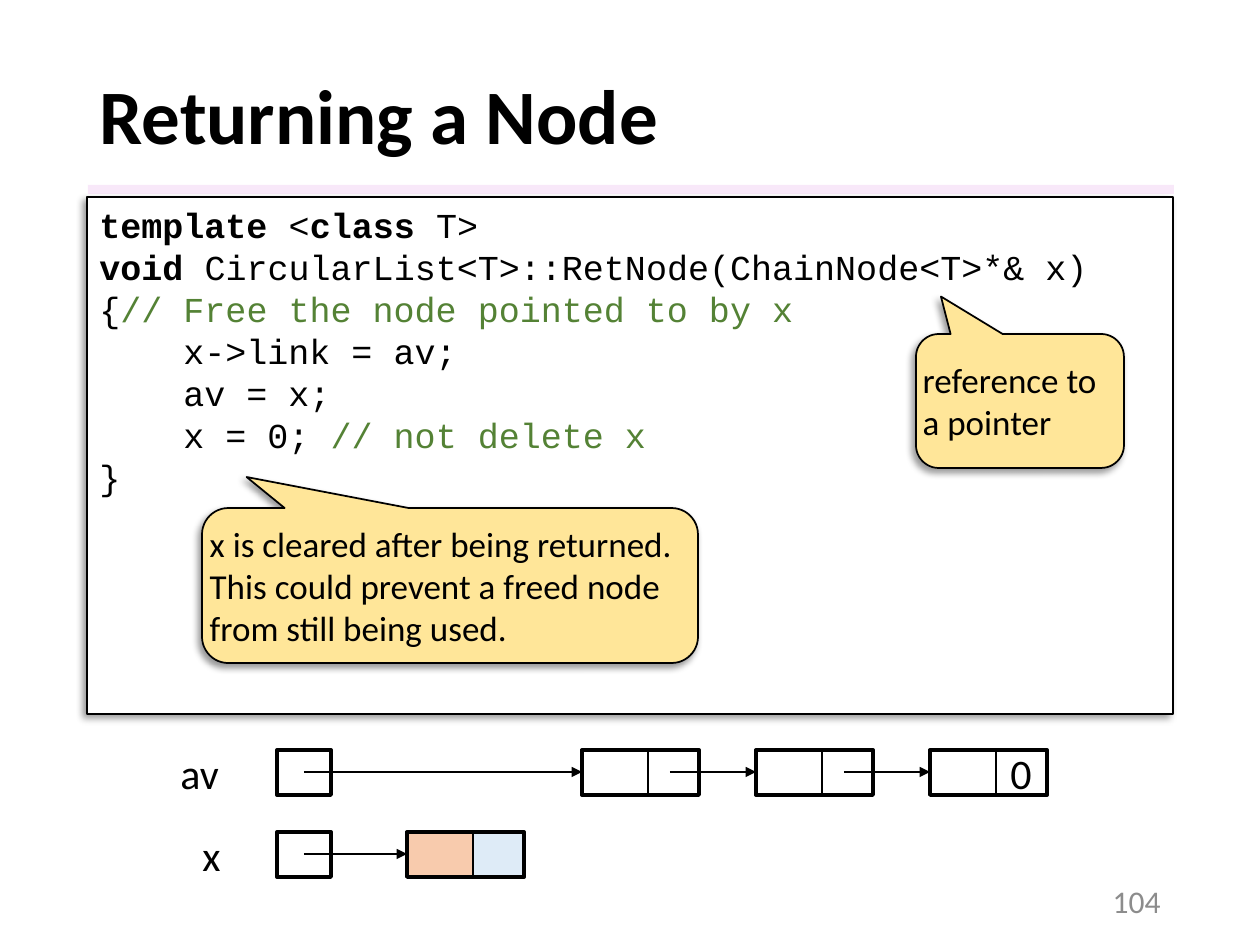
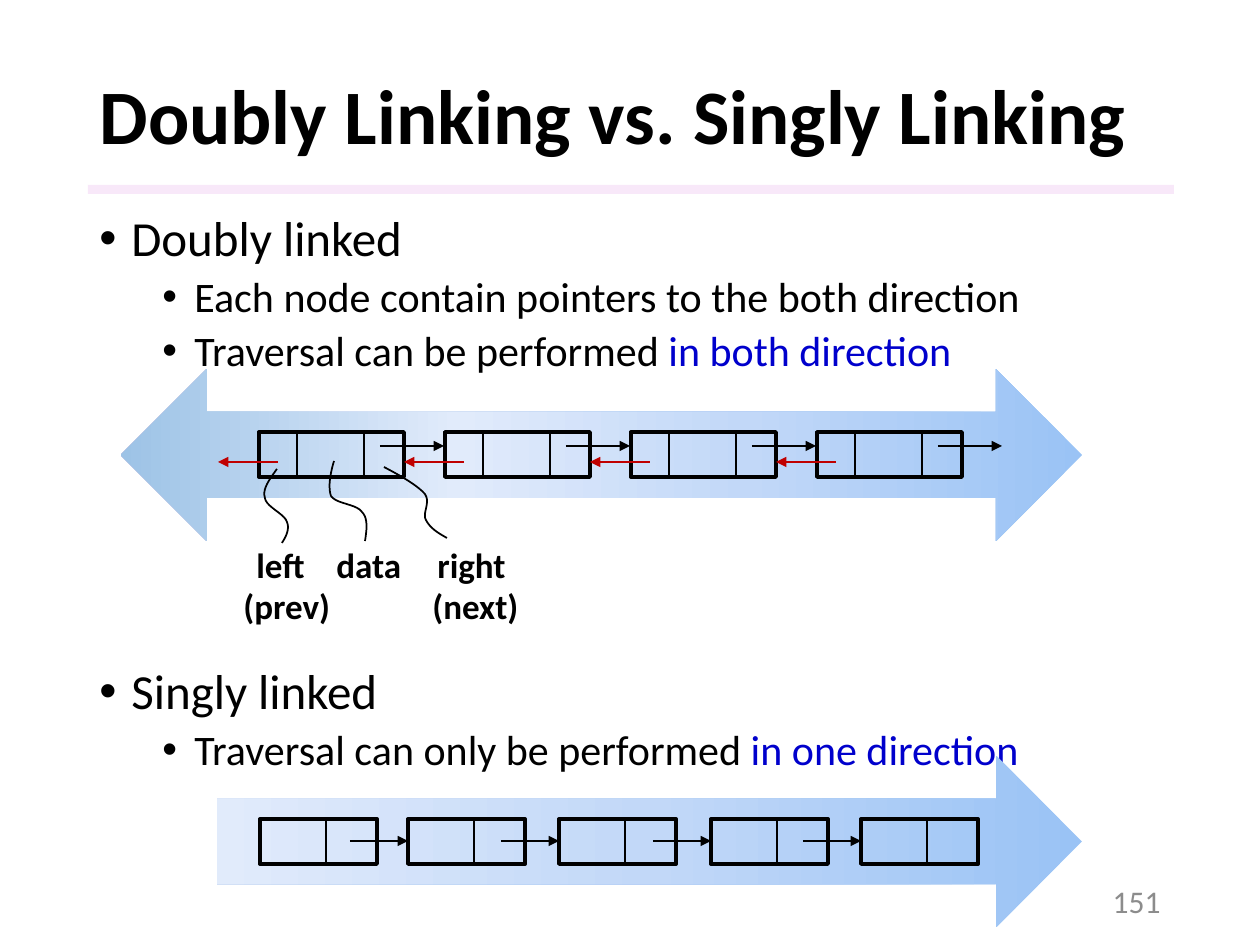
from dataclasses import dataclass

from lxml.etree import SubElement
from pptx import Presentation
from pptx.dml.color import RGBColor
from pptx.enum.shapes import MSO_CONNECTOR, MSO_SHAPE
from pptx.enum.text import MSO_ANCHOR, MSO_AUTO_SIZE, PP_ALIGN
from pptx.oxml.ns import qn
from pptx.util import Emu, Pt

SCALE = 914400 / 126


@dataclass(frozen=True)
class Theme:
    """Colours, fonts and type sizes of the deck."""
    ink: str = "000000"
    paper: str = "FFFFFF"
    band: str = "F3D2F4"
    grey: str = "8C8C8C"
    green: str = "548235"
    blue: str = "0000CC"
    red: str = "C00000"
    note: str = "FFE699"
    peach: str = "F8CBAD"
    ice: str = "DEEBF7"
    sweep: tuple = ((0, "9AC3F5"), (50, "C2D8F8"), (100, "E1EBFB"))
    both: tuple = ((0, "9AC3F5"), (35, "C2D8F8"), (65, "E1EBFB"), (100, "9DC3E6"))
    sans: str = "Calibri"
    mono: str = "Courier New"
    title: int = 44
    head: int = 28
    text: int = 24
    small: int = 20
    page: int = 18


T = Theme()
BOLD = {"bold": True}
NOTE = {"color": T.green}
LINK = {"color": T.blue}
CELL = 45
MID = 22
PAIR = (67, 50)
TRIO = (39, 67, 39)
BENDS = (
    ((384, 467), (401, 476), (417, 485), (425, 494), (431, 503), (422, 513),
     (426, 520), (430, 528), (438, 533), (447, 538)),
    ((277, 469), (270, 479), (262, 489), (265, 498), (266, 507), (285, 514),
     (287, 522), (290, 529), (286, 537), (282, 543)),
    ((334, 461), (330, 474), (328, 488), (331, 496), (336, 504), (357, 504),
     (362, 512), (368, 518), (367, 529), (365, 541)),
)


def px(num):
    """Turn pixels into EMU."""
    return Emu(round(num * SCALE))


def style(run, size, color=T.ink, bold=False, font=T.sans):
    """Format one run."""
    run.font.name, run.font.size, run.font.bold = font, Pt(size), bold
    run.font.color.rgb = RGBColor.from_string(color)


def fill_para(para, parts, size, **base):
    """Fill a paragraph with plain strings and (string, style) pairs."""
    for part in parts:
        text, extra = (part, {}) if isinstance(part, str) else part
        run = para.add_run()
        run.text = text
        style(run, size, **{**base, **extra})


def add_text(slide, box, text, size, wrap=False, align=PP_ALIGN.LEFT,
             anchor=MSO_ANCHOR.TOP, **look):
    """Add a text box with one line of text."""
    frame = slide.shapes.add_textbox(*map(px, box)).text_frame
    frame.word_wrap, frame.vertical_anchor = wrap, anchor
    frame.text = text
    para = frame.paragraphs[0]
    para.alignment = align
    style(para.runs[0], size, **look)


def paint(shape, fill=None, line=None, width=1):
    """Set fill and outline, and drop the shadow."""
    shape.shadow.inherit = False
    if fill:
        shape.fill.solid()
        shape.fill.fore_color.rgb = RGBColor.from_string(fill)
    else:
        shape.fill.background()
    if line:
        shape.line.color.rgb = RGBColor.from_string(line)
        shape.line.width = Pt(width)
    else:
        shape.line.fill.background()


def add_box(slide, box, kind=MSO_SHAPE.RECTANGLE, **look):
    """Add a painted preset shape."""
    shape = slide.shapes.add_shape(kind, *map(px, box))
    paint(shape, **look)
    return shape


def add_glow(shape):
    """Cast a soft shadow to the lower left."""
    effects = shape._element.spPr.find(qn("a:effectLst"))
    cast = SubElement(effects, qn("a:outerShdw"), blurRad=str(Pt(4)),
                      dist=str(Pt(3)), dir="8100000", algn="tr", rotWithShape="0")
    tint = SubElement(cast, qn("a:srgbClr"), val=T.ink)
    SubElement(tint, qn("a:alpha"), val="40000")


def add_sweep(slide, box, kind, stops):
    """Add a block arrow with a gradient that runs from right to left."""
    shape = add_box(slide, box, kind)
    shape.fill.gradient()
    shape.fill.gradient_angle = 180
    ramp = shape._element.spPr.find(qn("a:gradFill")).find(qn("a:gsLst"))
    for old in list(ramp):
        ramp.remove(old)
    for pos, color in stops:
        stop = SubElement(ramp, qn("a:gs"), pos=str(pos * 1000))
        SubElement(stop, qn("a:srgbClr"), val=color)


def add_arrow(slide, start, end, y, color=T.ink):
    """Add a level line with an arrowhead at its end."""
    line = slide.shapes.add_connector(
        MSO_CONNECTOR.STRAIGHT, px(start), px(y), px(end), px(y))
    line.line.color.rgb = RGBColor.from_string(color)
    line.line.width = Pt(1.5)
    SubElement(line.line._get_or_add_ln(), qn("a:tailEnd"), type="triangle")
    SubElement(line._element.spPr, qn("a:effectLst"))


def add_node(slide, x, y, widths, fills=(None, None, None)):
    """Add a framed row of cells and return the last cell."""
    left = x
    for width, fill in zip(widths, fills):
        cell = add_box(slide, (left, y, width, CELL), fill=fill, line=T.ink)
        left += width
    add_box(slide, (x + 1, y, sum(widths), CELL), line=T.ink, width=2.25)
    return cell


def add_root(slide, name, x, y, end):
    """Add a named pointer cell with an arrow to its node."""
    add_text(slide, (x, y - 9, 64, 63), name, T.text)
    add_box(slide, (277, y, 54, CELL), line=T.ink, width=2.25)
    add_arrow(slide, 304, end, y + MID)


def add_call(slide, box, tip, text):
    """Add a callout whose tip is given as adjustments."""
    shape = add_box(slide, box, MSO_SHAPE.ROUNDED_RECTANGULAR_CALLOUT,
                    fill=T.note, line=T.ink)
    add_glow(shape)
    for spot, value in enumerate(tip):
        shape.adjustments[spot] = value
    frame = shape.text_frame
    frame.margin_left = frame.margin_right = 0
    frame.word_wrap, frame.vertical_anchor = True, MSO_ANCHOR.MIDDLE
    frame.text = text
    frame.paragraphs[0].alignment = PP_ALIGN.LEFT
    style(frame.paragraphs[0].runs[0], T.small)


def add_code(slide, box, lines):
    """Add a code panel from (indent, parts) lines."""
    panel = add_box(slide, box, fill=T.paper, line=T.ink, width=0.75)
    add_glow(panel)
    frame = panel.text_frame
    frame.word_wrap, frame.vertical_anchor = True, MSO_ANCHOR.TOP
    for spot, (indent, parts) in enumerate(lines):
        para = frame.add_paragraph() if spot else frame.paragraphs[0]
        para.alignment = PP_ALIGN.LEFT
        para._p.get_or_add_pPr().set("marL", str(px(indent)))
        fill_para(para, parts, T.small, font=T.mono)


def add_list(slide, box, items):
    """Add bullets from (level, space before, parts) items."""
    frame = slide.shapes.add_textbox(*map(px, box)).text_frame
    frame.word_wrap = True
    for spot, (level, space, parts) in enumerate(items):
        para = frame.add_paragraph() if spot else frame.paragraphs[0]
        para.level, para.line_spacing, para.space_before = level, 0.9, Pt(space)
        props = para._p.get_or_add_pPr()
        props.set("marL", str(px((32, 95)[level])))
        props.set("indent", str(px(-32)))
        SubElement(props, qn("a:buFont"), typeface="Arial")
        SubElement(props, qn("a:buChar"), char="•")
        fill_para(para, parts, (T.head, T.text)[level])


def bend(a, b, c, d, steps=10):
    """Give the points of a cubic curve after its start."""
    for step in range(1, steps + 1):
        t = step / steps
        s = 1 - t
        yield tuple(px(s**3 * i + 3 * s * s * t * j + 3 * s * t * t * k + t**3 * m)
                    for i, j, k, m in zip(a, b, c, d))


def add_curve(slide, knots):
    """Add an open curve through cubic knots."""
    path = slide.shapes.build_freeform(*map(px, knots[0]))
    for spot in range(0, len(knots) - 1, 3):
        path.add_line_segments(bend(*knots[spot:spot + 4]), close=False)
    paint(path.convert_to_shape(), line=T.ink)


def add_slide(deck, title, page):
    """Add a slide with band, title and page number."""
    slide = deck.slides.add_slide(deck.slide_layouts[5])
    band = add_box(slide, (88, 185, 1086, 9), fill=T.band)
    tint = band._element.spPr.find(qn("a:solidFill"))[0]
    SubElement(tint, qn("a:alpha"), val="50000")
    head = slide.shapes.title
    head.left, head.top, head.width, head.height = map(px, (87, 50, 1086, 140))
    frame = head.text_frame
    frame.text = title
    frame.auto_size, frame.vertical_anchor = MSO_AUTO_SIZE.NONE, MSO_ANCHOR.MIDDLE
    para = frame.paragraphs[0]
    para.alignment, para.line_spacing = PP_ALIGN.LEFT, 0.9
    style(para.runs[0], T.title, bold=True)
    add_text(slide, (890, 876, 283, 50), page, T.page, wrap=True,
             align=PP_ALIGN.RIGHT, anchor=MSO_ANCHOR.MIDDLE, color=T.grey)
    return slide


def draw_return(deck):
    """Build the slide on returning a node."""
    slide = add_slide(deck, "Returning a Node", "104")
    add_code(slide, (87, 197, 1086, 517), (
        (0, (("template", BOLD), " <", ("class", BOLD), " T>")),
        (0, (("void ", BOLD), "CircularList<T>::RetNode(ChainNode<T>*& x)")),
        (0, ("{", ("// Free the node pointed to by x", NOTE))),
        (84, ("x->link = av;",)),
        (84, ("av = x;",)),
        (84, ("x = 0; ", ("// not delete x", NOTE))),
        (0, ("}",)),
    ))
    add_call(slide, (916, 334, 208, 134), (-0.38, -0.78, 0.17),
             "reference to a pointer")
    add_call(slide, (202, 508, 496, 155), (-0.41, -0.7, 0.17),
             "x is cleared after being returned. "
             "This could prevent a freed node from still being used.")
    for spot in range(3):
        x = 581 + 174 * spot
        last = add_node(slide, x, 750, PAIR)
        if spot < 2:
            add_arrow(slide, x + 89, x + 175, 750 + MID)
    frame = last.text_frame
    frame.text = "0"
    frame.vertical_anchor = MSO_ANCHOR.MIDDLE
    frame.paragraphs[0].alignment = PP_ALIGN.CENTER
    style(frame.paragraphs[0].runs[0], T.text)
    add_root(slide, "av", 168, 750, 582)
    add_node(slide, 406, 832, PAIR, (T.peach, T.ice))
    add_root(slide, "x", 190, 832, 407)


def draw_links(deck):
    """Build the slide that compares both kinds of list."""
    slide = add_slide(deck, "Doubly Linking vs. Singly Linking", "151")
    add_list(slide, (87, 208, 1086, 703), (
        (0, 10, ("Doubly linked",)),
        (1, 5, ("Each node contain pointers to the both direction",)),
        (1, 5, ("Traversal can be performed ", ("in both direction", LINK))),
        (0, 167, ("Singly linked",)),
        (1, 5, ("Traversal can only be performed ", ("in one direction", LINK))),
    ))
    add_sweep(slide, (217, 756, 865, 171), MSO_SHAPE.RIGHT_ARROW, T.sweep)
    for spot, x in enumerate((259, 407, 558, 710, 860)):
        add_node(slide, x, 819, PAIR)
        if spot:
            add_arrow(slide, x - 57, x + 1, 819 + MID)
    add_sweep(slide, (121, 369, 961, 172), MSO_SHAPE.LEFT_RIGHT_ARROW, T.both)
    for spot in range(4):
        x = 258 + 186 * spot
        add_node(slide, x, 432, TRIO)
        add_arrow(slide, x + 122, x + 186, 446)
        add_arrow(slide, x + 20, x - 40, 462, T.red)
    for knots in BENDS:
        add_curve(slide, knots)
    for text, x, y in (("left", 244, 537), ("data", 324, 537), ("right", 425, 537),
                       ("(prev)", 231, 578), ("(next)", 420, 578)):
        add_text(slide, (x, y, 113, 55), text, T.small, bold=True)


def main():
    """Build and save the deck."""
    deck = Presentation()
    deck.slide_width, deck.slide_height = px(1260), px(945)
    draw_return(deck)
    draw_links(deck)
    deck.save("out.pptx")


if __name__ == "__main__":
    main()
